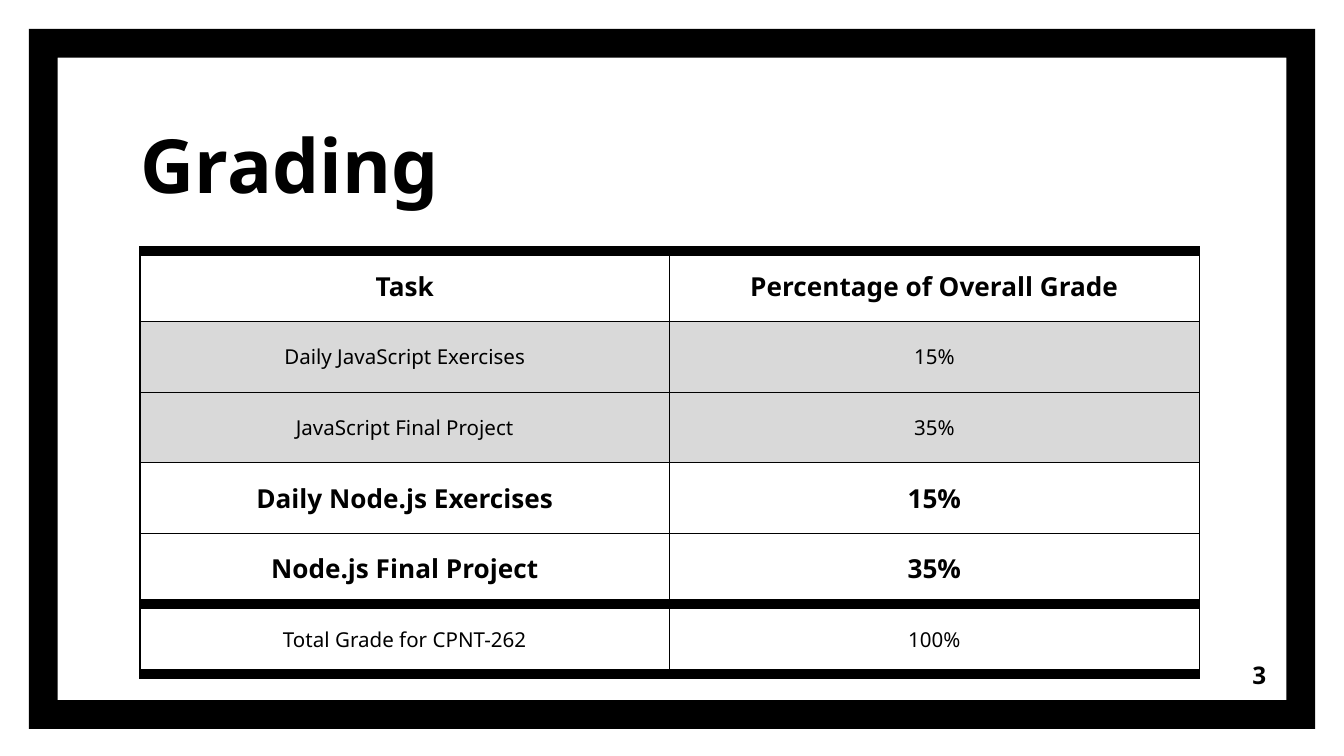
"""Build the course grading slide."""
from dataclasses import dataclass

from lxml.etree import SubElement
from pptx import Presentation
from pptx.dml.color import RGBColor
from pptx.enum.shapes import MSO_SHAPE as Shape
from pptx.enum.text import MSO_ANCHOR as Anchor, PP_ALIGN as Align
from pptx.oxml.ns import qn
from pptx.util import Pt

FONT = "Noto Sans"
BLACK, WHITE, GRAY = "000000", "FFFFFF", "D9D9D9"
THIN, THICK = 0.75, 6


@dataclass
class Row:
    task: str
    share: str
    bold: bool = False
    fill: str = WHITE
    top: float = THIN
    base: float = THIN


@dataclass
class Label:
    text: str
    left: float
    top: float
    width: float
    height: float
    size: float
    align: Align
    anchor: Anchor


ROWS = [
    Row("Task", "Percentage of Overall Grade", bold=True, top=THICK),
    Row("Daily JavaScript Exercises", "15%", fill=GRAY),
    Row("JavaScript Final Project", "35%", fill=GRAY),
    Row("Daily Node.js Exercises", "15%", bold=True),
    Row("Node.js Final Project", "35%", bold=True, base=THICK),
    Row("Total Grade for CPNT-262", "100%", top=THICK, base=THICK),
]
LABELS = [
    Label("Grading", 68.4, 67, 401, 51.8, 40, Align.LEFT, Anchor.BOTTOM),
    Label("3", 642.4, 345.8, 43, 31, 13, Align.RIGHT, Anchor.MIDDLE),
]


def paint(target, color: str) -> None:
    target.fill.solid()
    target.fill.fore_color.rgb = RGBColor.from_string(color)


def style(para, size: float, bold: bool, align: Align) -> None:
    para.alignment = align
    font = para.font
    font.name, font.size, font.bold = FONT, Pt(size), bold
    font.color.rgb = RGBColor.from_string(BLACK)


def draw_frame(slide) -> None:
    frame = slide.shapes.add_shape(Shape.FRAME, Pt(15.5), Pt(15.5), Pt(689), Pt(375))
    frame.adjustments[0] = 0.041
    frame.shadow.inherit = False
    paint(frame, BLACK)
    frame.line.fill.background()


def draw_label(slide, label: Label) -> None:
    box = slide.shapes.add_textbox(
        Pt(label.left), Pt(label.top), Pt(label.width), Pt(label.height))
    frame = box.text_frame
    frame.word_wrap = True
    frame.vertical_anchor = label.anchor
    frame.margin_left = frame.margin_right = Pt(7.2)
    frame.margin_top = frame.margin_bottom = Pt(7.2)
    frame.text = label.text
    style(frame.paragraphs[0], label.size, True, label.align)


def set_edges(cell, row: Row) -> None:
    props = cell._tc.get_or_add_tcPr()
    edges = {"L": THIN, "R": THIN, "T": row.top, "B": row.base}
    for spot, (side, width) in enumerate(edges.items()):
        line = SubElement(props, qn(f"a:ln{side}"), w=str(Pt(width)))
        fill = SubElement(line, qn("a:solidFill"))
        SubElement(fill, qn("a:srgbClr"), val=BLACK)
        props.insert(spot, line)


def draw_table(slide, rows: list[Row]) -> None:
    table = slide.shapes.add_table(
        len(rows), 2, Pt(75), Pt(134.6), Pt(567.4), Pt(37.8 * len(rows))).table
    table.first_row = table.horz_banding = False
    for line, row in zip(table.rows, rows):
        for cell, text in zip(line.cells, (row.task, row.share)):
            cell.text = text
            cell.vertical_anchor = Anchor.MIDDLE
            cell.margin_top = cell.margin_bottom = Pt(5)
            paint(cell, row.fill)
            style(cell.text_frame.paragraphs[0], 14 if row.bold else 11,
                  row.bold, Align.CENTER)
            set_edges(cell, row)


def main() -> None:
    deck = Presentation()
    deck.slide_width, deck.slide_height = Pt(720), Pt(405)
    slide = deck.slides.add_slide(deck.slide_layouts[6])
    paint(slide.background, WHITE)
    draw_frame(slide)
    draw_table(slide, ROWS)
    for label in LABELS:
        draw_label(slide, label)
    deck.save("out.pptx")


if __name__ == "__main__":
    main()
